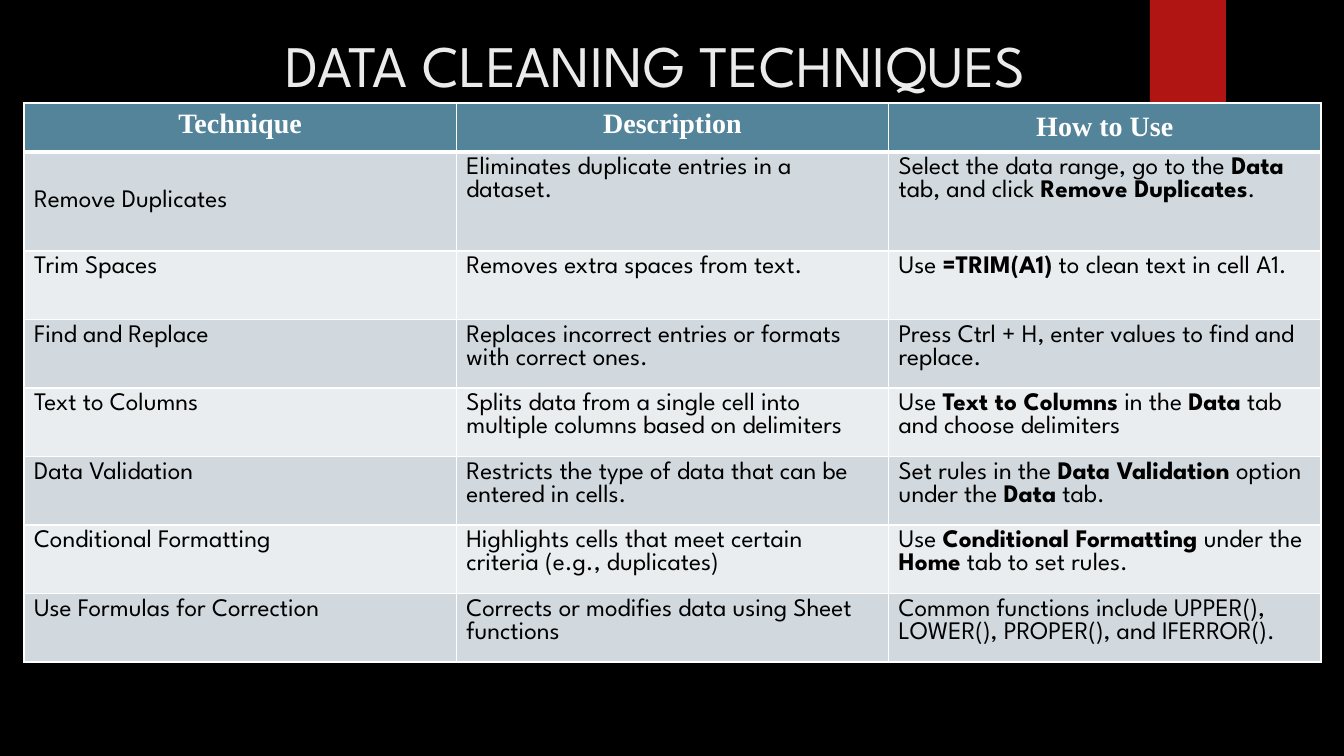
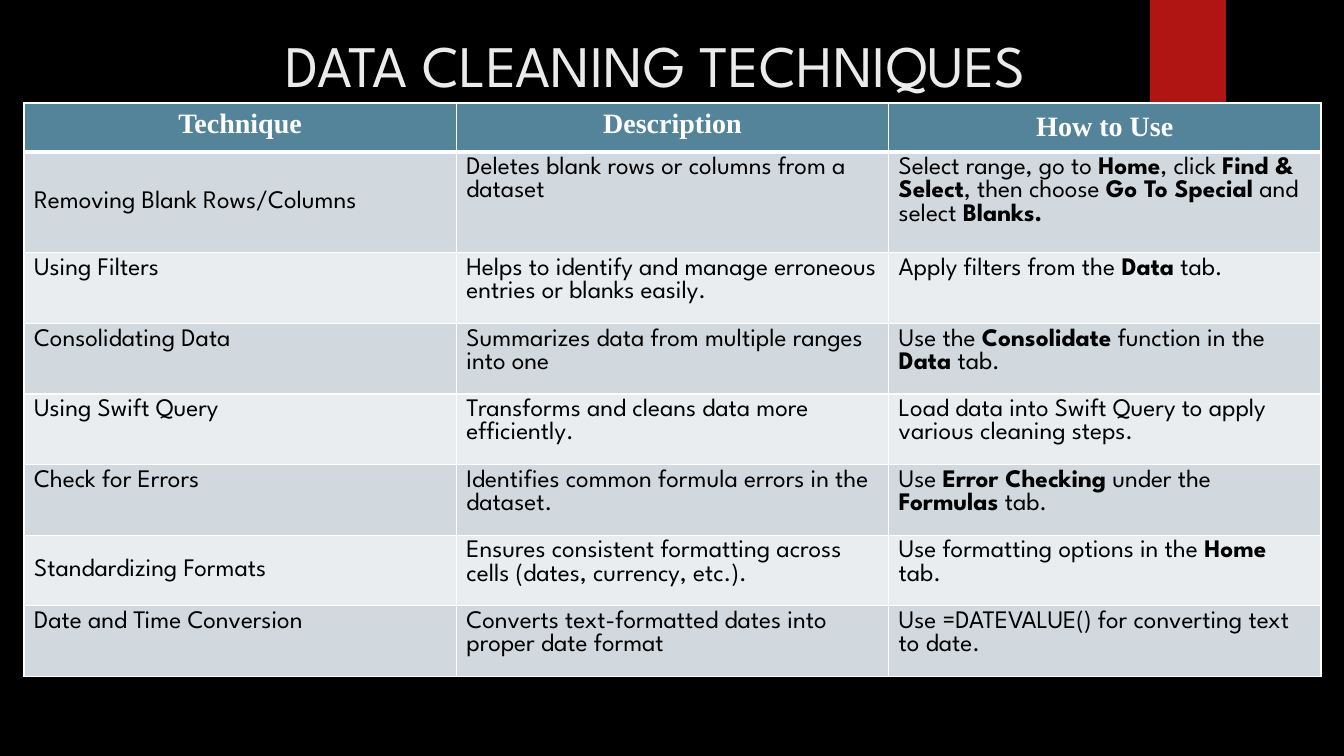
from lxml import etree
from pptx import Presentation
from pptx import util as u
from pptx.dml.color import RGBColor
from pptx.enum import shapes, text
from pptx.oxml.ns import qn

TITLE = "DATA CLEANING TECHNIQUES"
HEADINGS = ("Technique", "Description", "How to Use")

# Text between double asterisks is bold; "centred" lists the (row, column)
# cells whose text sits at mid-height.
PAGES = [
    {
        "centred": {(0, 2), (1, 0)},
        "rows": [
            ("Remove Duplicates",
             "Eliminates duplicate entries in a dataset.",
             "Select the data range, go to the **Data** tab, and click **Remove Duplicates**."),
            ("Trim Spaces",
             "Removes extra spaces from text.",
             "Use **=TRIM(A1)** to clean text in cell A1."),
            ("Find and Replace",
             "Replaces incorrect entries or formats with correct ones.",
             "Press Ctrl + H, enter values to find and replace."),
            ("Text to Columns",
             "Splits data from a single cell into multiple columns based on delimiters",
             "Use **Text to Columns** in the **Data** tab and choose delimiters"),
            ("Data Validation",
             "Restricts the type of data that can be entered in cells.",
             "Set rules in the **Data Validation** option under the **Data** tab."),
            ("Conditional Formatting",
             "Highlights cells that meet certain criteria (e.g., duplicates)",
             "Use **Conditional Formatting** under the **Home** tab to set rules."),
            ("Use Formulas for Correction",
             "Corrects or modifies data using Sheet functions",
             "Common functions include UPPER(), LOWER(), PROPER(), and IFERROR()."),
        ],
    },
    {
        "centred": {(0, 2), (1, 0), (6, 0)},
        "rows": [
            ("Removing Blank Rows/Columns",
             "Deletes blank rows or columns from a dataset",
             "Select range, go to **Home**, click **Find & Select**, then choose "
             "**Go To Special** and select **Blanks.**"),
            ("Using Filters",
             "Helps to identify and manage erroneous entries or blanks easily.",
             "Apply filters from the **Data** tab."),
            ("Consolidating Data",
             "Summarizes data from multiple ranges into one",
             "Use the **Consolidate** function in the **Data** tab."),
            ("Using Swift Query",
             "Transforms and cleans data more efficiently.",
             "Load data into Swift Query to apply various cleaning steps."),
            ("Check for Errors",
             "Identifies common formula errors in the dataset.",
             "Use **Error Checking** under the **Formulas** tab."),
            ("Standardizing Formats",
             "Ensures consistent formatting across cells (dates, currency, etc.).",
             "Use formatting options in the **Home** tab."),
            ("Date and Time Conversion",
             "Converts text-formatted dates into proper date format",
             "Use =DATEVALUE() for converting text to date."),
        ],
    },
]

BLACK, WHITE = "000000", "FFFFFF"
TITLE_COLOUR, RIBBON_COLOUR = "EBEBEB", "B01513"
HEADER_FILL, BAND_FILLS = "54849A", ("E9EDEF", "D1D9DE")
SANS, SERIF = "League Spartan", "Times New Roman"

# Lengths in px
PAGE_W, PAGE_H = 1344, 756
RIBBON_BOX = (1150, 0, 76, 126)
TITLE_BOX = (137, 24, 1037, 80)
TABLE_LEFT, TABLE_TOP, TABLE_W = 24, 103, 1297
HEADER_H, FIRST_ROW_H, OTHER_ROWS_H = 49, 99, 411
EMU_PER_PX = u.Inches(13.333333) / PAGE_W


def px(length):
    return u.Emu(round(length * EMU_PER_PX))


def rgb(colour):
    return RGBColor.from_string(colour)


def paint(fill, colour):
    fill.solid()
    fill.fore_color.rgb = rgb(colour)


def add_spans(para, marked, font, size, colour, bold=False):
    """Add text run by run, with the parts between ** in bold."""
    for i, part in enumerate(marked.split("**")):
        if part:
            span = para.add_run()
            span.text = part
            span.font.name = font
            span.font.size = u.Pt(size)
            span.font.bold = bold or i % 2 == 1
            span.font.color.rgb = rgb(colour)


def set_borders(cell, top, bottom):
    """Draw white borders; top and bottom are widths in points."""
    props = cell._tc.get_or_add_tcPr()
    for side, width in (("L", 1), ("R", 1), ("T", top), ("B", bottom)):
        line = etree.SubElement(props, qn(f"a:ln{side}"), w=str(u.Pt(width)))
        fill = etree.SubElement(line, qn("a:solidFill"))
        etree.SubElement(fill, qn("a:srgbClr"), val=WHITE)


def add_ribbon(page):
    ribbon = page.shapes.add_shape(shapes.MSO_SHAPE.RECTANGLE, *map(px, RIBBON_BOX))
    ribbon.shadow.inherit = False
    paint(ribbon.fill, RIBBON_COLOUR)
    ribbon.line.fill.background()


def add_title(page):
    frame = page.shapes.add_textbox(*map(px, TITLE_BOX)).text_frame
    frame.word_wrap = True
    frame.vertical_anchor = text.MSO_ANCHOR.BOTTOM
    para = frame.paragraphs[0]
    para.alignment = text.PP_ALIGN.CENTER
    add_spans(para, TITLE, SANS, 42, TITLE_COLOUR)


def add_techniques(page, rows, centred):
    lines = [HEADINGS, *rows]
    other_h = OTHER_ROWS_H / (len(rows) - 1)
    heights = [HEADER_H, FIRST_ROW_H] + [other_h] * (len(rows) - 1)
    table = page.shapes.add_table(
        len(lines), len(HEADINGS), px(TABLE_LEFT), px(TABLE_TOP),
        px(TABLE_W), px(sum(heights))).table
    table.horz_banding = False
    for column in table.columns:
        column.width = px(TABLE_W / len(HEADINGS))
    for r, (line, height) in enumerate(zip(lines, heights)):
        table.rows[r].height = px(height)
        for c, words in enumerate(line):
            cell = table.cell(r, c)
            set_borders(cell, top=3 if r == 1 else 1, bottom=3 if r == 0 else 1)
            paint(cell.fill, BAND_FILLS[r % 2] if r else HEADER_FILL)
            if (r, c) in centred:
                cell.vertical_anchor = text.MSO_ANCHOR.MIDDLE
            para = cell.text_frame.paragraphs[0]
            if r:
                add_spans(para, words, SANS, 18, BLACK)
            else:
                para.alignment = text.PP_ALIGN.CENTER
                add_spans(para, words, SERIF, 20, WHITE, bold=True)


def main():
    deck = Presentation()
    deck.slide_width, deck.slide_height = px(PAGE_W), px(PAGE_H)
    for content in PAGES:
        page = deck.slides.add_slide(deck.slide_layouts[6])
        paint(page.background.fill, BLACK)
        add_ribbon(page)
        add_techniques(page, content["rows"], content["centred"])
        add_title(page)
    deck.save("out.pptx")


if __name__ == "__main__":
    main()
